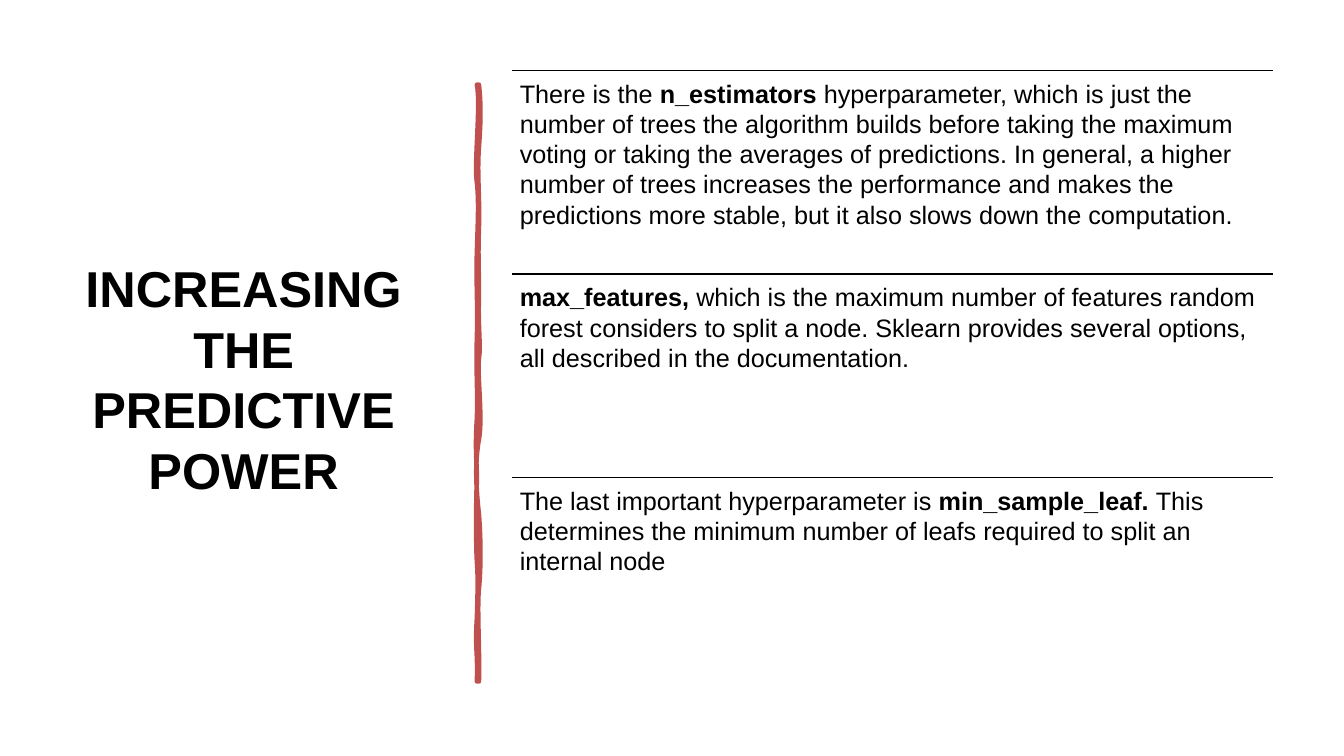
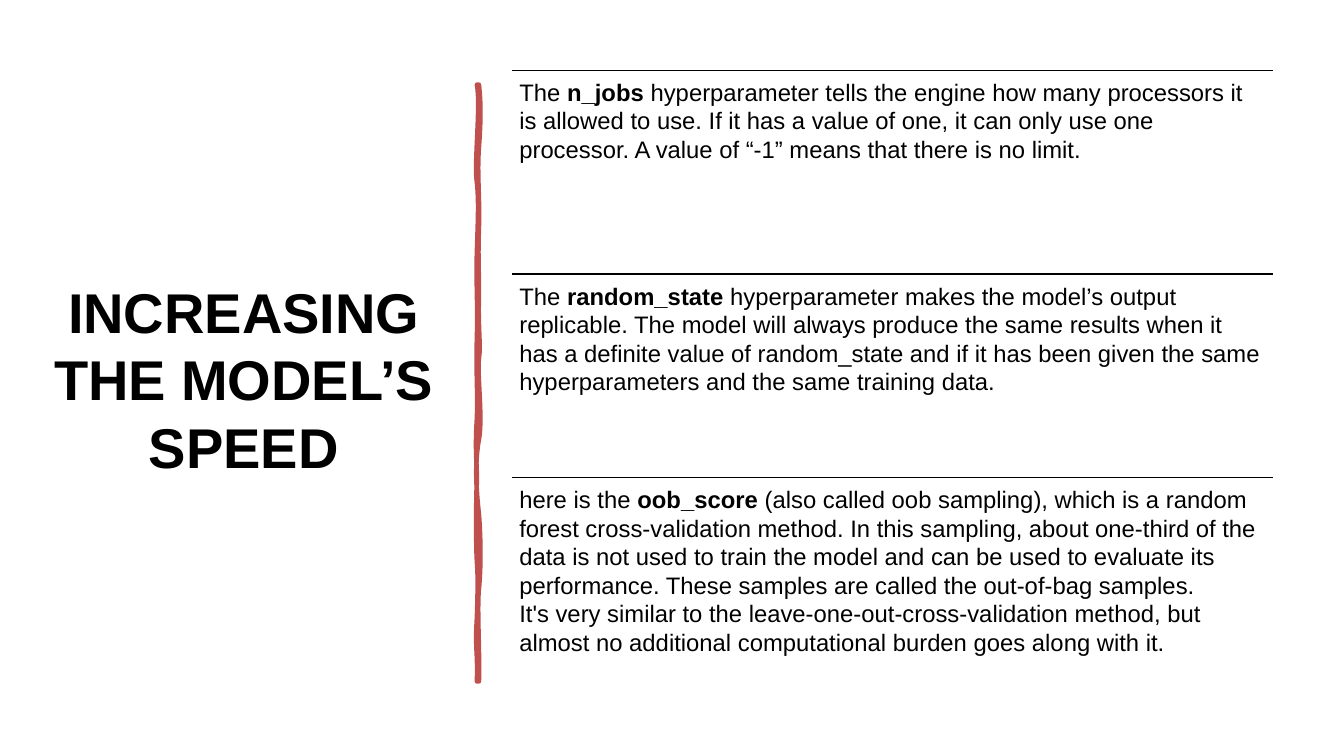
"""Build two slides on tuning a random forest: a title, a brush stroke and ruled notes."""
import dataclasses

import lxml.etree
import pptx
import pptx.dml.color
import pptx.enum.shapes
import pptx.enum.text
import pptx.oxml.ns
import pptx.util


@dataclasses.dataclass(frozen=True)
class Theme:
    font: str = "Arial"
    ink: str = "000000"
    accent: str = "C0504D"
    paper: str = "FFFFFF"
    rule_width: float = 1
    stroke_width: float = 3.25
    leading: float = 1.2
    note_inset: float = 0.3


THEME = Theme()
TITLE_BOX = (2.98, 9.33, 30.3, 81.47)
NOTES_LEFT, NOTES_TOP, NOTES_WIDTH, NOTE_HEIGHT = 38.11, 9.33, 56.64, 26.93

STROKE_START = (4.75, 0.84)
STROKE_CURVES = [
    (4.77, 1.02, 4.77, 1.19, 4.75, 1.46),
    (4.73, 1.73, 4.76, 1.95, 4.75, 2.26),
    (4.74, 2.57, 4.75, 2.62, 4.75, 2.94),
    (4.74, 3.25, 4.77, 3.42, 4.75, 3.56),
    (4.73, 3.7, 4.79, 4.14, 4.75, 4.36),
    (4.71, 4.57, 4.72, 4.84, 4.75, 5.1),
    (4.77, 5.36, 4.77, 5.64, 4.75, 5.84),
    (4.73, 6.03, 4.76, 6.5, 4.75, 6.76),
    (4.74, 6.76, 4.73, 6.76, 4.73, 6.76),
    (4.74, 6.46, 4.71, 6.44, 4.73, 6.13),
    (4.74, 5.83, 4.74, 5.7, 4.73, 5.57),
    (4.72, 5.44, 4.72, 4.95, 4.73, 4.77),
    (4.73, 4.59, 4.71, 4.45, 4.73, 4.15),
    (4.74, 3.86, 4.72, 3.73, 4.73, 3.35),
    (4.74, 2.98, 4.72, 2.81, 4.73, 2.5),
    (4.74, 2.18, 4.75, 2, 4.73, 1.81),
    (4.7, 1.63, 4.77, 1.04, 4.73, 0.84),
]

SLIDES = [
    ("INCREASING THE PREDICTIVE POWER", 36, 18, [
        "There is the\u00a0**n_estimators\u00a0**hyperparameter, which is just the number of "
        "trees the algorithm builds before taking the maximum voting or taking the averages "
        "of predictions. In general, a higher number of trees increases the performance and "
        "makes the predictions more stable, but it also slows down the computation.",
        "**max_features,**\u00a0which is the maximum number of features random forest "
        "considers to split a node. Sklearn provides several options, all described in the "
        "documentation.",
        "The last important hyperparameter is\u00a0**min_sample_leaf.\u00a0**This determines "
        "the minimum number of leafs required to split an internal node",
    ]),
    ("INCREASING THE MODEL’S SPEED", 40, 17, [
        "The\u00a0**n_jobs**\u00a0hyperparameter tells the engine how many processors it is "
        "allowed to use. If it has a value of one, it can only use one processor. A value of "
        "“-1” means that there is no limit.",
        "The**\u00a0random_state\u00a0**hyperparameter\u00a0makes the model’s output "
        "replicable. The model will always produce the same results when it has a definite "
        "value of random_state and if it has been given the same hyperparameters and the "
        "same training data.",
        "here is the\u00a0**oob_score**\u00a0(also called oob sampling), which is a random "
        "forest cross-validation method. In this sampling, about one-third of the data is "
        "not used to train the model and can be used to evaluate its performance. These "
        "samples are called the out-of-bag samples. It's\u00a0very similar to the "
        "leave-one-out-cross-validation method, but almost no additional computational "
        "burden goes along with it.",
    ]),
]


def color(value):
    return pptx.dml.color.RGBColor.from_string(value)


def add_element(parent, name, **attributes):
    return lxml.etree.SubElement(parent, pptx.oxml.ns.qn(name), attributes)


def write(frame, text, *, size, align="LEFT", anchor="TOP", insets=(7.2, 3.6)):
    frame.word_wrap = True
    frame.vertical_anchor = getattr(pptx.enum.text.MSO_ANCHOR, anchor)
    frame.margin_left = frame.margin_right = pptx.util.Pt(insets[0])
    frame.margin_top = frame.margin_bottom = pptx.util.Pt(insets[1])
    paragraph = frame.paragraphs[0]
    paragraph.alignment = getattr(pptx.enum.text.PP_ALIGN, align)
    paragraph.line_spacing = pptx.util.Pt(THEME.leading * size)
    for index, part in enumerate(text.split("**")):
        if part:
            run = paragraph.add_run()
            run.text = part
            run.font.name = THEME.font
            run.font.size = pptx.util.Pt(size)
            run.font.bold = index % 2 == 1
            run.font.color.rgb = color(THEME.ink)


def bend(shape, curves):
    segments = list(shape._element.iter(pptx.oxml.ns.qn("a:lnTo")))
    for segment, curve in zip(segments, curves):
        bezier = add_element(segment.getparent(), "a:cubicBezTo")
        for x, y in zip(curve[::2], curve[1::2]):
            add_element(bezier, "a:pt", x=str(pptx.util.Inches(x) - shape.left),
                        y=str(pptx.util.Inches(y) - shape.top))
        segment.getparent().replace(segment, bezier)


class Deck:
    def __init__(self):
        self.presentation = pptx.Presentation()
        self.presentation.slide_width = pptx.util.Inches(13.33)
        self.presentation.slide_height = pptx.util.Inches(7.5)
        self.slide = None

    def across(self, percent):
        return int(self.presentation.slide_width * percent / 100)

    def down(self, percent):
        return int(self.presentation.slide_height * percent / 100)

    def add_slide(self):
        self.slide = self.presentation.slides.add_slide(self.presentation.slide_layouts[6])
        fill = self.slide.background.fill
        fill.solid()
        fill.fore_color.rgb = color(THEME.paper)

    def text(self, box, text, **style):
        left, top, width, height = box
        shape = self.slide.shapes.add_textbox(
            self.across(left), self.down(top), self.across(width), self.down(height))
        write(shape.text_frame, text, **style)

    def rule(self, left, top, width):
        start, end, height = self.across(left), self.across(left + width), self.down(top)
        connector = self.slide.shapes.add_connector(
            pptx.enum.shapes.MSO_CONNECTOR.STRAIGHT, start, height, end, height)
        connector.line.color.rgb = color(THEME.ink)
        connector.line.width = pptx.util.Pt(THEME.rule_width)
        add_element(connector._element.spPr, "a:effectLst")

    def brush_stroke(self):
        start = [pptx.util.Inches(value) for value in STROKE_START]
        ends = [(pptx.util.Inches(x), pptx.util.Inches(y)) for *_, x, y in STROKE_CURVES]
        builder = self.slide.shapes.build_freeform(*start)
        builder.add_line_segments(ends, close=True)
        shape = builder.convert_to_shape()
        bend(shape, STROKE_CURVES)
        shape.shadow.inherit = False
        shape.fill.solid()
        shape.fill.fore_color.rgb = color(THEME.accent)
        shape.line.color.rgb = color(THEME.accent)
        shape.line.width = pptx.util.Pt(THEME.stroke_width)
        add_element(shape.line._get_or_add_ln(), "a:round")

    def notes(self, texts, size):
        inset = THEME.note_inset * size
        for row, text in enumerate(texts):
            top = NOTES_TOP + row * NOTE_HEIGHT
            self.rule(NOTES_LEFT, top, NOTES_WIDTH)
            self.text((NOTES_LEFT, top, NOTES_WIDTH, NOTE_HEIGHT), text,
                      size=size, insets=(inset, inset))


deck = Deck()
for title, title_size, note_size, note_texts in SLIDES:
    deck.add_slide()
    deck.text(TITLE_BOX, f"**{title}**", size=title_size, align="CENTER", anchor="MIDDLE")
    deck.brush_stroke()
    deck.notes(note_texts, note_size)
deck.presentation.save("out.pptx")
